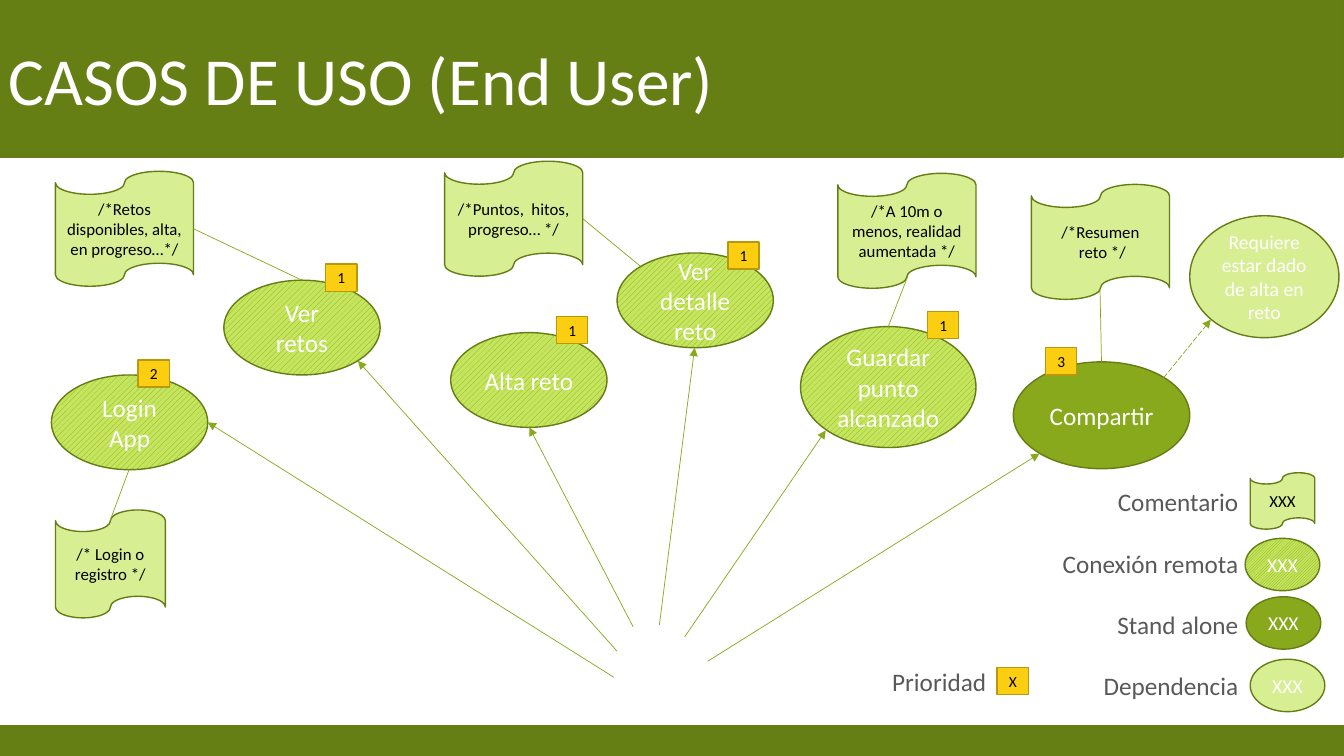
"""Builds the end-user use case slide with its legend."""
from lxml import etree
from pptx import Presentation
from pptx.dml.color import RGBColor
from pptx.enum.dml import MSO_LINE, MSO_PATTERN
from pptx.enum.shapes import MSO_CONNECTOR, MSO_SHAPE
from pptx.enum.text import MSO_ANCHOR, PP_ALIGN
from pptx.oxml.ns import qn
from pptx.util import Inches, Pt

RECTANGLE, ELLIPSE, TAPE = MSO_SHAPE.RECTANGLE, MSO_SHAPE.OVAL, MSO_SHAPE.FLOWCHART_PUNCHED_TAPE
WIDE = MSO_PATTERN.WIDE_UPWARD_DIAGONAL
DARK = MSO_PATTERN.DARK_UPWARD_DIAGONAL
LEFT, CENTER, RIGHT = PP_ALIGN.LEFT, PP_ALIGN.CENTER, PP_ALIGN.RIGHT
MIDDLE = MSO_ANCHOR.MIDDLE
STRAIGHT = MSO_CONNECTOR.STRAIGHT
LONG_DASH = MSO_LINE.LONG_DASH

BAND = RGBColor(0x65, 0x7F, 0x14)
OUTLINE = RGBColor(0x64, 0x7D, 0x14)
GREEN = RGBColor(0x87, 0xA9, 0x1B)
LIME = RGBColor(0xC4, 0xE5, 0x5D)
PALE = RGBColor(0xD8, 0xEE, 0x93)
YELLOW = RGBColor(0xFB, 0xCE, 0x11)
GOLD = RGBColor(0xBA, 0x98, 0x0D)
GRAY = RGBColor(0x59, 0x59, 0x59)
WHITE = RGBColor(0xFF, 0xFF, 0xFF)
BLACK = RGBColor(0, 0, 0)

presentation = Presentation()
presentation.slide_width, presentation.slide_height = Inches(13.33), Inches(7.5)
slide = presentation.slides.add_slide(presentation.slide_layouts[6])


def write(shape, text, size, color, alignment, space_after=0):
    """Fill a shape with wrapped text, one paragraph per line."""
    frame = shape.text_frame
    frame.word_wrap = True
    frame.text = text
    for paragraph in frame.paragraphs:
        paragraph.alignment = alignment
        paragraph.space_after = Pt(space_after)
        paragraph.font.name = "Calibri"
        paragraph.font.size = Pt(size)
        paragraph.font.color.rgb = color


def add_box(kind, box, fill, outline, text="", size=18, color=WHITE, alignment=CENTER):
    """Add a preset shape; a pattern as fill is drawn green on lime."""
    shape = slide.shapes.add_shape(kind, *map(Inches, box))
    shape.shadow.inherit = False
    if fill in (WIDE, DARK):
        shape.fill.patterned()
        shape.fill.pattern = fill
        shape.fill.fore_color.rgb = GREEN
        shape.fill.back_color.rgb = LIME
    else:
        shape.fill.solid()
        shape.fill.fore_color.rgb = fill
    shape.line.color.rgb = outline
    shape.line.width = Pt(1)
    shape.text_frame.vertical_anchor = MIDDLE
    if text:
        write(shape, text, size, color, alignment)
    return shape


add_box(RECTANGLE, (0, 7.2, 13.33, 0.3), BAND, BAND)
add_box(RECTANGLE, (-0.01, 0, 13.33, 1.56), BAND, OUTLINE,
        "CASOS DE USO (End User)", 48, WHITE, LEFT)

use_cases = {
    text: add_box(ELLIPSE, box, fill, OUTLINE, text, size)
    for text, box, fill, size in [
        ("Login App", (0.51, 3.72, 1.55, 0.94), WIDE, 18),
        ("Ver retos", (2.22, 2.78, 1.55, 0.94), WIDE, 18),
        ("Alta reto", (4.47, 3.3, 1.55, 0.94), WIDE, 18),
        ("Ver detalle reto", (6.12, 2.51, 1.55, 0.94), WIDE, 18),
        ("Guardar punto alcanzado", (7.94, 3.24, 1.74, 1.2), WIDE, 18),
        ("Compartir", (10.05, 3.59, 1.75, 1.06), GREEN, 18),
        ("Requiere estar dado de alta en reto", (11.8, 2.14, 1.48, 1.21), PALE, 14),
    ]
}

comments = {
    name: add_box(TAPE, box, PALE, OUTLINE, text, 12, BLACK)
    for name, text, box in [
        ("retos", "/*Retos disponibles, alta, en progreso…*/", (0.55, 1.7, 1.37, 1.14)),
        ("login", "/* Login o registro */", (0.55, 5.06, 1.09, 1.07)),
        ("detalle", "/*Puntos,  hitos, progreso… */", (4.41, 1.6, 1.37, 1.14)),
        ("guardar", "/*A 10m o menos, realidad aumentada */", (8.31, 1.72, 1.37, 1.14)),
        ("compartir", "/*Resumen\n reto */", (10.23, 1.83, 1.37, 1.14)),
        ("leyenda", "XXX", (12.4, 4.69, 0.64, 0.56)),
    ]
}

USER_ARROWS = [
    (6.09, 6.72, 2.06, 4.19),
    (6.12, 6.46, 3.55, 3.58),
    (6.28, 6.22, 5.25, 4.24),
    (6.54, 6.2, 6.89, 3.45),
    (6.79, 6.32, 8.19, 4.27),
    (7.02, 6.56, 10.31, 4.5),
]
DEPENDENCY_ARROW = (11.54, 3.75, 12.01, 3.17)
COMMENT_LINES = [
    ((1.09, 5.17, 1.28, 4.66), None, None),
    ((3, 2.78, 1.91, 2.27), "Ver retos", "retos"),
    ((6.35, 2.64, 5.78, 2.17), None, "detalle"),
    ((8.81, 3.24, 9, 2.75), "Guardar punto alcanzado", None),
    ((10.92, 3.59, 10.91, 2.86), "Compartir", None),
]
arrows = [(ends, None, None) for ends in USER_ARROWS + [DEPENDENCY_ARROW]]
for ends, use_case, comment in arrows + COMMENT_LINES:
    connector = slide.shapes.add_connector(STRAIGHT, *map(Inches, ends))
    connector.line.color.rgb = GREEN
    connector.line.width = Pt(0.5)
    if ends == DEPENDENCY_ARROW:
        connector.line.dash_style = LONG_DASH
    if (ends, use_case, comment) in arrows:
        etree.SubElement(connector.line._get_or_add_ln(), qn("a:tailEnd"), type="triangle")
    etree.SubElement(connector._element.spPr, qn("a:effectLst"))
    if use_case:
        connector.begin_connect(use_cases[use_case], 0)
    if comment:
        connector.end_connect(comments[comment], 3)

for left, top, fill in [(12.35, 5.34, DARK), (12.36, 5.92, GREEN), (12.4, 6.54, PALE)]:
    add_box(ELLIPSE, (left, top, 0.74, 0.52), fill, OUTLINE, "XXX", 14)

for box, text in [
    ((10.32, 4.78, 2.06, 2.22), "Comentario\nConexión remota\nStand alone\nDependencia"),
    ((7.82, 6.56, 2.06, 0.4), "Prioridad"),
]:
    label = slide.shapes.add_textbox(*map(Inches, box))
    write(label, text, 18, GRAY, RIGHT, 22)

for priority, left, top in [
    ("2", 1.37, 3.57), ("1", 3.23, 2.62), ("1", 5.52, 3.14), ("1", 7.22, 2.4),
    ("1", 9.2, 3.09), ("3", 10.37, 3.45), ("X", 9.89, 6.62),
]:
    add_box(RECTANGLE, (left, top, 0.31, 0.27), YELLOW, GOLD, priority, 11, BLACK)

presentation.save("out.pptx")
